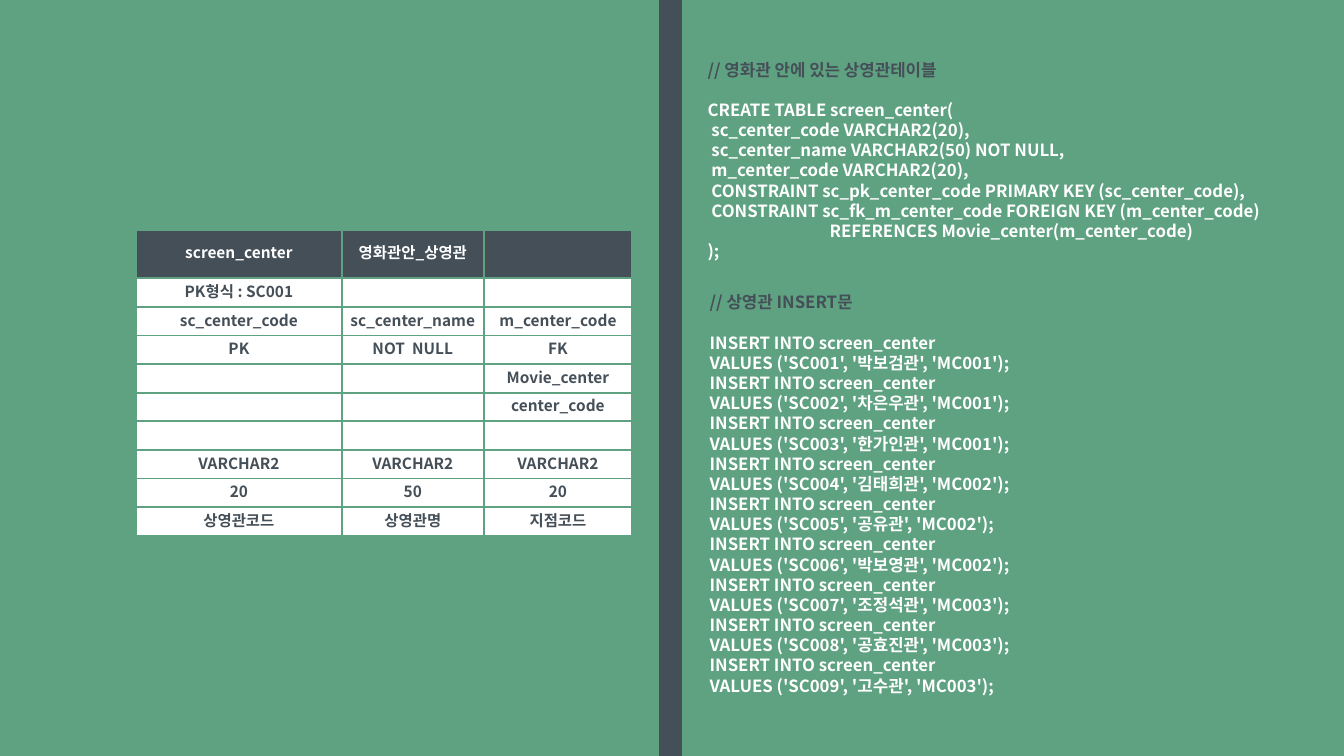
from lxml import etree
from pptx import Presentation
from pptx.dml.color import RGBColor
from pptx.enum.shapes import MSO_CONNECTOR
from pptx.enum.text import MSO_ANCHOR, PP_ALIGN
from pptx.oxml.ns import qn
from pptx.util import Inches, Pt

STRAIGHT = MSO_CONNECTOR.STRAIGHT
MIDDLE = MSO_ANCHOR.MIDDLE
CENTER = PP_ALIGN.CENTER
FONT = "Noto Sans CJK KR"
COLORS = {"green": "5FA281", "slate": "454F58", "white": "FFFFFF"}
LINE_HEIGHT = 1.2

CREATE_SQL = [
    "CREATE TABLE screen_center(",
    " sc_center_code VARCHAR2(20),",
    " sc_center_name VARCHAR2(50) NOT NULL,",
    " m_center_code VARCHAR2(20),",
    " CONSTRAINT sc_pk_center_code PRIMARY KEY (sc_center_code),",
    " CONSTRAINT sc_fk_m_center_code FOREIGN KEY (m_center_code)",
    "                                REFERENCES Movie_center(m_center_code)",
    ");",
]
SCREENS = ["박보검관", "차은우관", "한가인관", "김태희관", "공유관",
           "박보영관", "조정석관", "공효진관", "고수관"]
COLUMN_WIDTHS = [2.04, 1.41, 1.47]
ROW_HEIGHTS = [0.48] + [0.27] * 9
ROWS = [
    ["screen_center", "영화관안_상영관", ""],
    ["PK형식 : SC001", "", ""],
    ["sc_center_code", "sc_center_name", "m_center_code"],
    ["PK", "NOT  NULL", "FK"],
    ["", "", "Movie_center"],
    ["", "", "center_code"],
    ["", "", ""],
    ["VARCHAR2", "VARCHAR2", "VARCHAR2"],
    ["20", "50", "20"],
    ["상영관코드", "상영관명", "지점코드"],
]


def rgb(name):
    return RGBColor.from_string(COLORS[name])


class Deck:
    def __init__(self, prs):
        self.s = prs.slides.add_slide(prs.slide_layouts[6])
        fill = self.s.background.fill
        fill.solid()
        fill.fore_color.rgb = rgb("green")

    def style(self, p, size, color):
        p.line_spacing = Pt(size * LINE_HEIGHT)
        p.font.name = FONT
        p.font.size = Pt(size)
        p.font.bold = True
        p.font.color.rgb = rgb(color)
        props = p._p.get_or_add_pPr().find(qn("a:defRPr"))
        etree.SubElement(props, qn("a:ea"), typeface=FONT)

    def code(self, left, top, width, height, heading, lines, size=12):
        tf = self.s.shapes.add_textbox(
            Inches(left), Inches(top), Inches(width), Inches(height)).text_frame
        tf.word_wrap = True
        p = tf.paragraphs[0]
        p.text = heading
        self.style(p, size, "slate")
        for i, line in enumerate(lines):
            p = tf.add_paragraph()
            p.text = line
            if i == 0:
                p.space_before = Pt(size * LINE_HEIGHT)
            self.style(p, size, "white")

    def borders(self, cell, color, width):
        props = cell._tc.get_or_add_tcPr()
        for side in ("lnL", "lnR", "lnT", "lnB"):
            ln = etree.SubElement(props, qn(f"a:{side}"), w=str(Pt(width)))
            fill = etree.SubElement(ln, qn("a:solidFill"))
            etree.SubElement(fill, qn("a:srgbClr"), val=COLORS[color])

    def cell(self, cell, text, fill, color):
        cell.margin_left = cell.margin_right = Inches(0.05)
        cell.margin_top = cell.margin_bottom = Inches(0.05)
        cell.vertical_anchor = MIDDLE
        self.borders(cell, "green", 1.5)
        cell.fill.solid()
        cell.fill.fore_color.rgb = rgb(fill)
        p = cell.text_frame.paragraphs[0]
        p.text = text
        p.alignment = CENTER
        self.style(p, 11, color)

    def table(self, left, top, widths, heights, rows):
        table = self.s.shapes.add_table(
            len(rows), len(widths), Inches(left), Inches(top),
            Inches(sum(widths)), Inches(sum(heights))).table
        table.horz_banding = False
        for column, width in zip(table.columns, widths):
            column.width = Inches(width)
        for i, (row, height) in enumerate(zip(table.rows, heights)):
            row.height = Inches(height)
            fill, color = ("white", "slate") if i else ("slate", "white")
            for cell, text in zip(row.cells, rows[i]):
                self.cell(cell, text, fill, color)

    def line(self, x1, y1, x2, y2, color, width):
        c = self.s.shapes.add_connector(
            STRAIGHT, Inches(x1), Inches(y1), Inches(x2), Inches(y2))
        c.line.color.rgb = rgb(color)
        c.line.width = Pt(width)
        etree.SubElement(c._element.spPr, qn("a:effectLst"))


def main():
    prs = Presentation()
    prs.slide_width = Inches(13.33)
    prs.slide_height = Inches(7.5)
    deck = Deck(prs)

    insert_sql = []
    for i, screen in enumerate(SCREENS):
        insert_sql += [
            "INSERT INTO screen_center",
            f"VALUES ('SC{i + 1:03}', '{screen}', 'MC{i // 3 + 1:03}');",
        ]

    deck.code(6.92, 0.54, 6.41, 2.32, "// 영화관 안에 있는 상영관테이블", CREATE_SQL)
    deck.code(6.94, 2.85, 6.39, 4.14, "// 상영관 INSERT문", insert_sql)
    deck.table(1.35, 2.28, COLUMN_WIDTHS, ROW_HEIGHTS, ROWS)
    deck.line(6.65, 7.5, 6.65, 0, "slate", 16)
    prs.save("out.pptx")


if __name__ == "__main__":
    main()
